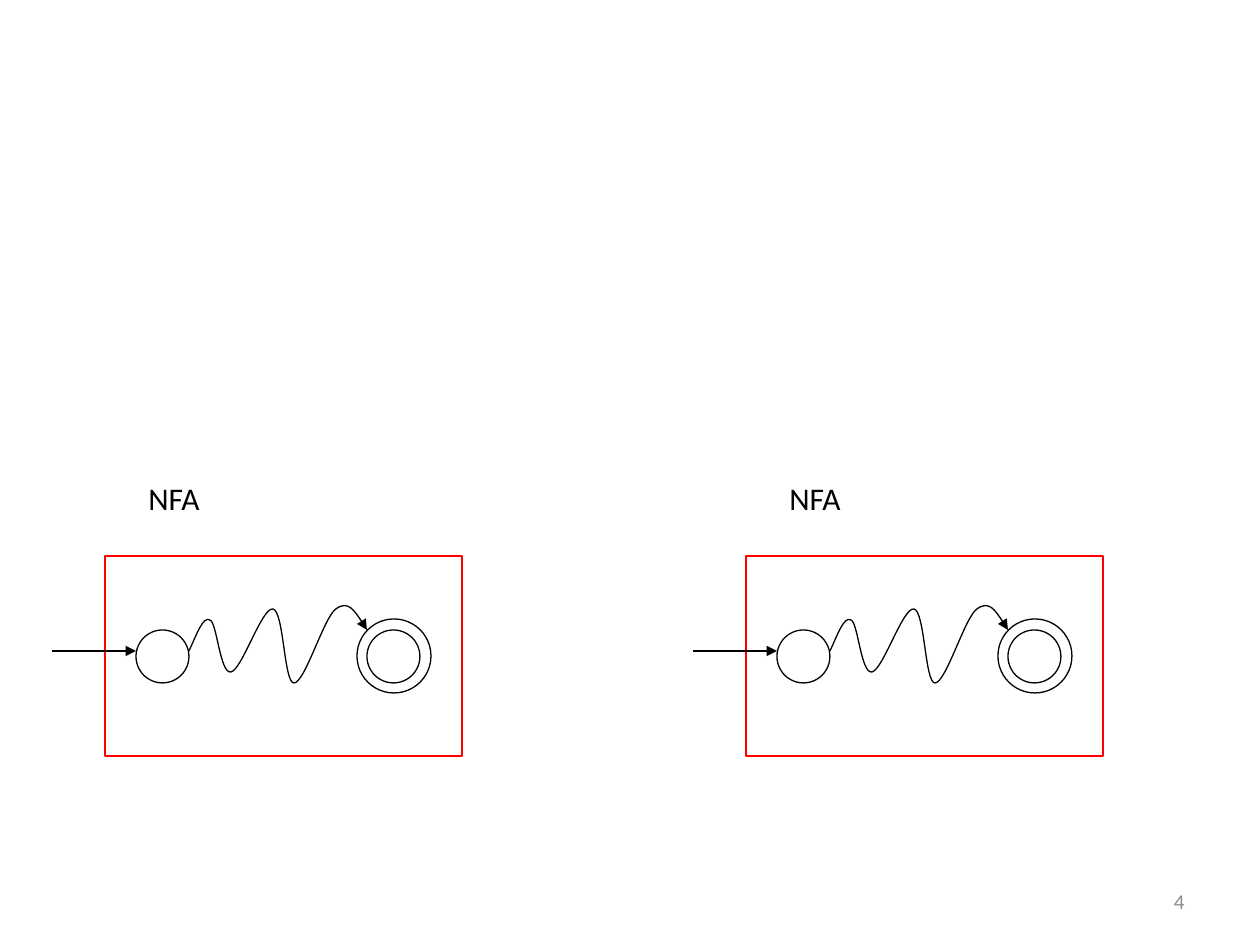
from lxml.etree import SubElement
from pptx import Presentation
from pptx.dml.color import RGBColor
from pptx.enum.shapes import MSO_CONNECTOR as Connector, MSO_SHAPE as Shape
from pptx.enum.text import MSO_ANCHOR as Anchor, PP_ALIGN as Align
from pptx.oxml.ns import qn
from pptx.util import Emu, Inches, Pt

EMU_PER_PX = 914400 / 126
BLACK, RED, GRAY = "000000", "FF0000", "8C8C8C"
AUTOMATON_LEFTS = (52, 693)
PATH_START = (137, 651)
PATH_CURVES = [
    [(145, 634), (151, 616), (158, 620)],
    [(165, 622), (168, 674), (179, 672)],
    [(190, 670), (210, 607), (221, 609)],
    [(232, 611), (232, 683), (242, 683)],
    [(253, 683), (272, 617), (284, 609)],
    [(296, 600), (306, 615), (315, 630)],
]


def px(*lengths):
    return [Emu(round(length * EMU_PER_PX)) for length in lengths]


def color(value):
    return RGBColor.from_string(value)


class Sketch:
    font_name = "Calibri"
    line_width = Pt(0.75)

    def __init__(self, page):
        self.shapes = page.shapes

    def outline(self, item, line_color, arrow=False):
        item.line.color.rgb = color(line_color)
        item.line.width = self.line_width
        if arrow:
            line = item.line._get_or_add_ln()
            SubElement(line, qn("a:tailEnd"), type="triangle")

    def shape(self, shapes, kind, bounds, line_color=BLACK):
        item = shapes.add_shape(kind, *px(*bounds))
        item.shadow.inherit = False
        item.fill.background()
        self.outline(item, line_color)

    def arrow(self, shapes, start, end):
        item = shapes.add_connector(Connector.STRAIGHT, *px(*start, *end))
        self.outline(item, BLACK, arrow=True)
        SubElement(item._element.spPr, qn("a:effectLst"))

    def curve(self, shapes, start, curves):
        builder = shapes.build_freeform(*start, scale=EMU_PER_PX)
        for points in curves:
            builder.add_line_segments(points, close=False)
        item = builder.convert_to_shape()
        item.shadow.inherit = False
        item.fill.background()
        self.outline(item, BLACK, arrow=True)
        path = next(item._element.iter(qn("a:path")))
        segments = path.findall(qn("a:lnTo"))
        for first in range(0, len(segments), 3):
            bezier = SubElement(path, qn("a:cubicBezTo"))
            for segment in segments[first:first + 3]:
                bezier.append(segment[0])
                path.remove(segment)

    def text(self, shapes, words, bounds, size, text_color=BLACK,
             align=Align.LEFT, anchor=Anchor.TOP):
        box = shapes.add_textbox(*px(*bounds))
        frame = box.text_frame
        frame.word_wrap = True
        frame.vertical_anchor = anchor
        frame.text = words
        para = frame.paragraphs[0]
        para.alignment = align
        font = para.runs[0].font
        font.name = self.font_name
        font.size = Pt(size)
        font.color.rgb = color(text_color)

    def automaton(self, left):
        shapes = self.shapes.add_group_shape().shapes
        self.shape(shapes, Shape.RECTANGLE, (left + 53, 556, 357, 200), RED)
        self.shape(shapes, Shape.OVAL, (left + 84, 630, 53, 53))
        self.shape(shapes, Shape.OVAL, (left + 315, 630, 53, 53))
        self.shape(shapes, Shape.OVAL, (left + 305, 619, 74, 74))
        self.arrow(shapes, (left, 651), (left + 84, 651))
        start = (left + PATH_START[0], PATH_START[1])
        curves = [[(left + x, y) for x, y in points] for points in PATH_CURVES]
        self.curve(shapes, start, curves)
        self.text(shapes, "NFA", (left + 84, 473, 145, 79), 18)


def main():
    deck = Presentation()
    deck.slide_width, deck.slide_height = Inches(10), Inches(7.5)
    sketch = Sketch(deck.slides.add_slide(deck.slide_layouts[6]))
    sketch.text(sketch.shapes, "4", (903, 876, 294, 50), 12, GRAY,
                Align.RIGHT, Anchor.MIDDLE)
    for left in AUTOMATON_LEFTS:
        sketch.automaton(left)
    deck.save("out.pptx")


if __name__ == "__main__":
    main()
